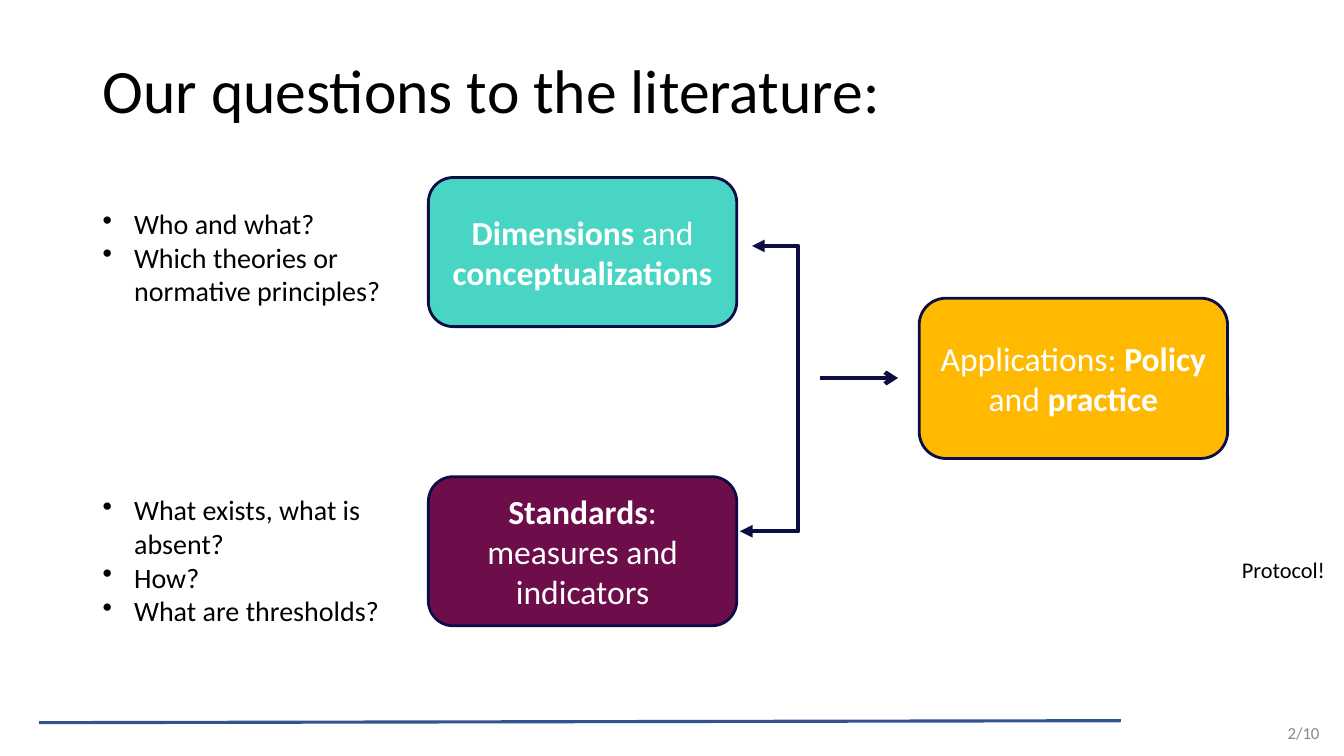
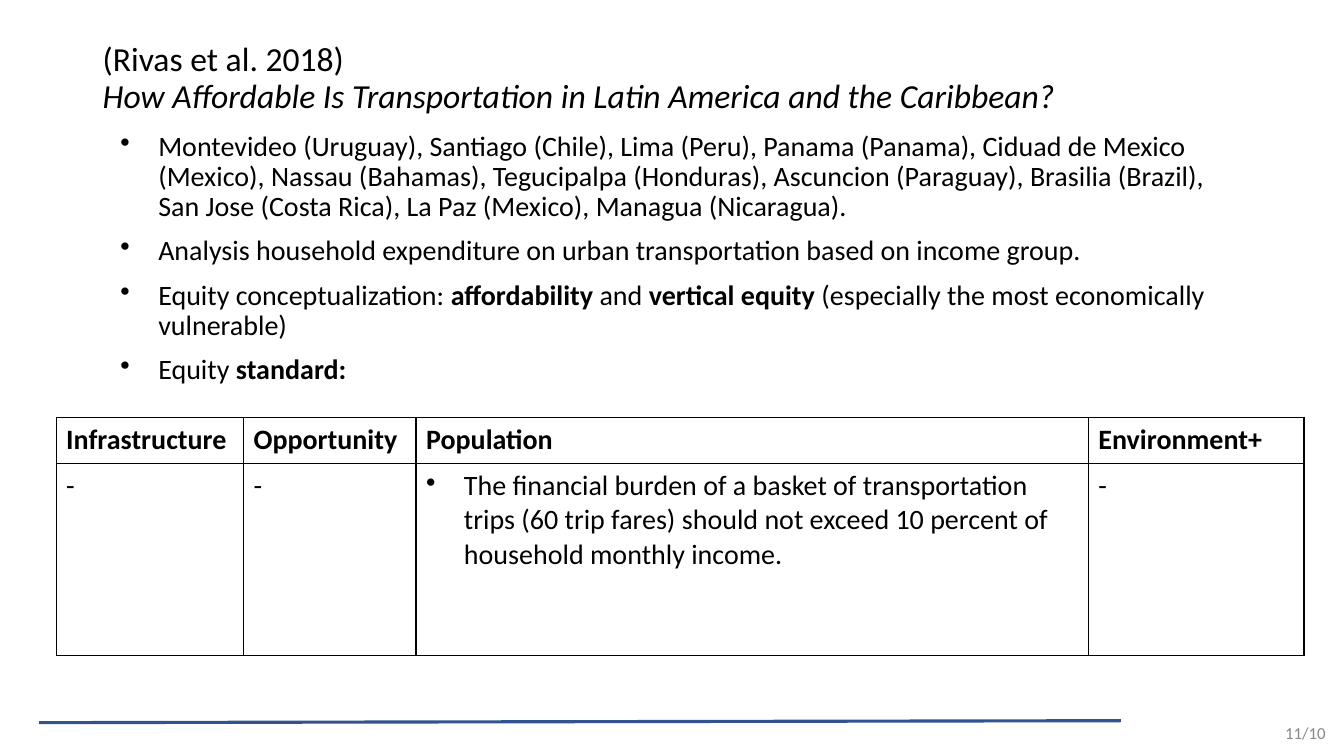
import dataclasses

import lxml.etree
import pptx
import pptx.dml.color
import pptx.enum.shapes
import pptx.enum.text
import pptx.oxml.ns
import pptx.util

Pt = pptx.util.Pt
qn = pptx.oxml.ns.qn
Rgb = pptx.dml.color.RGBColor.from_string
Align = pptx.enum.text.PP_ALIGN
Anchor = pptx.enum.text.MSO_ANCHOR
Link = pptx.enum.shapes.MSO_CONNECTOR
Form = pptx.enum.shapes.MSO_SHAPE


@dataclasses.dataclass(frozen=True)
class Theme:
    font: str = "Calibri"
    ink: str = "000000"
    white: str = "FFFFFF"
    grey: str = "888888"
    navy: str = "0D0D45"
    rule: str = "31538F"
    teal: str = "48D5C4"
    gold: str = "FFB900"
    plum: str = "6D0D4A"
    title: int = 44
    head: int = 24
    body: int = 20
    note: int = 16
    page: int = 12


THEME = Theme()
LEFT = 66.2


def child(node, tag, **attrs):
    return lxml.etree.SubElement(node, qn(tag), attrs)


def style(run, size, color=THEME.ink, bold=False, italic=False):
    font = run.font
    font.name, font.size = THEME.font, Pt(size)
    font.bold, font.italic = bold, italic
    font.color.rgb = Rgb(color)


def write(par, text, size, color=THEME.ink):
    """Write text into a paragraph; parts between ** marks are bold."""
    for i, part in enumerate(text.split("**")):
        if part:
            run = par.add_run()
            run.text = part
            style(run, size, color, bold=i % 2 == 1)


def bullet(par, left, hang):
    props = par._p.get_or_add_pPr()
    props.set("marL", str(Pt(left)))
    props.set("indent", str(-Pt(hang)))
    child(child(props, "a:buClr"), "a:srgbClr", val=THEME.ink)
    child(props, "a:buChar", char="•")


def add_text(slide, box, lines, size, color=THEME.ink):
    frame = slide.shapes.add_textbox(*map(Pt, box)).text_frame
    frame.word_wrap = True
    for i, line in enumerate(lines):
        par = frame.add_paragraph() if i else frame.paragraphs[0]
        write(par, line, size, color)
    return frame


def add_list(slide, box, items, left, hang):
    frame = add_text(slide, box, items, THEME.body)
    for par in frame.paragraphs:
        bullet(par, left, hang)
    return frame


def add_box(slide, box, color, text):
    shape = slide.shapes.add_shape(Form.ROUNDED_RECTANGLE, *map(Pt, box))
    shape.shadow.inherit = False
    shape.fill.solid()
    shape.fill.fore_color.rgb = Rgb(color)
    shape.line.color.rgb = Rgb(THEME.navy)
    shape.line.width = Pt(2)
    frame = shape.text_frame
    frame.word_wrap = True
    frame.vertical_anchor = Anchor.MIDDLE
    par = frame.paragraphs[0]
    par.alignment = Align.CENTER
    write(par, text, THEME.head, THEME.white)


def add_line(slide, ends, color, width, kind=Link.STRAIGHT, head=None, tail=None):
    line = slide.shapes.add_connector(kind, *map(Pt, ends))
    line.line.color.rgb = Rgb(color)
    line.line.width = Pt(width)
    props = line._element.spPr
    for tag, tip in (("a:headEnd", head), ("a:tailEnd", tail)):
        if tip:
            child(props.find(qn("a:ln")), tag, type=tip)
    child(props, "a:effectLst")
    return line


def add_fork(slide, ends, spine):
    """Draw a double-headed elbow whose upright stands at x = spine."""
    line = add_line(slide, ends, THEME.navy, 3, Link.ELBOW, "triangle", "triangle")
    share = (spine - ends[0]) / (ends[2] - ends[0])
    guides = line._element.spPr.find(".//" + qn("a:avLst"))
    child(guides, "a:gd", name="adj1", fmla=f"val {round(share * 100000)}")


def add_slide(deck, title, box, size, page, width):
    """Start a slide with its title, footer rule and page number."""
    slide = deck.slides.add_slide(deck.slide_layouts.get_by_name("Title Only"))
    add_line(slide, (28, 516.2, 800.6, 514.8), THEME.rule, 2.25)
    shape = slide.shapes.title
    shape.left, shape.top, shape.width, shape.height = map(Pt, box)
    frame = shape.text_frame
    frame.text = title
    frame.auto_size = pptx.enum.text.MSO_AUTO_SIZE.NONE
    frame.vertical_anchor = Anchor.MIDDLE
    for i, par in enumerate(frame.paragraphs):
        par.alignment, par.line_spacing = Align.LEFT, 0.9
        style(par.runs[0], size, italic=i > 0)
    foot = add_text(slide, (723.6, 509, width, 28.8), [page], THEME.page, THEME.grey)
    foot.vertical_anchor = Anchor.MIDDLE
    foot.paragraphs[0].alignment = Align.RIGHT
    return slide


def edge(cell):
    """Give a cell no fill and thin lines on all four sides."""
    props = cell._tc.get_or_add_tcPr()
    for side in "LRTB":
        line = child(props, "a:ln" + side, w=str(Pt(1)))
        child(child(line, "a:solidFill"), "a:srgbClr", val=THEME.ink)
    cell.fill.background()


def add_grid(slide, spot, cols, heights, rows):
    frame = slide.shapes.add_table(
        len(rows), len(cols), *map(Pt, (*spot, sum(cols), sum(heights))))
    table = frame.table
    table.first_row = table.horz_banding = False
    for col, width in zip(table.columns, cols):
        col.width = Pt(width)
    for row, height, texts in zip(table.rows, heights, rows):
        row.height = Pt(height)
        for cell, text in zip(row.cells, texts):
            edge(cell)
            write(cell.text_frame.paragraphs[0], text, THEME.body)
    return table


def add_quest(deck):
    slide = add_slide(deck, "Our questions to the literature:",
                      (LEFT, 28.8, 828, 75.6), THEME.title, "2/10", 226)
    for box, color, text in (
        ((306, 126.8, 220.3, 106.5), THEME.teal,
         "**Dimensions** and **conceptualizations**"),
        ((656.6, 213, 220.3, 114.5), THEME.gold,
         "Applications: **Policy** and **practice**"),
        ((306, 340.5, 220.3, 106.5), THEME.plum,
         "**Standards**: measures and indicators"),
    ):
        add_box(slide, box, color, text)
    add_fork(slide, (528.5, 379.5, 537.1, 175.7), 570.3)
    add_line(slide, (585.4, 270, 641.5, 270), THEME.navy, 3, tail="arrow")
    for box, items in (
        ((LEFT, 348.5, 246.2, 104.4),
         ["What exists, what is absent?", "How?", "What are thresholds?"]),
        ((LEFT, 144, 218.2, 80),
         ["Who and what?", "Which theories or normative principles?"]),
    ):
        add_list(slide, box, items, 22.5, 22.5)
    note = add_text(slide, (880, 395, 80, 26), ["Protocol!"], THEME.note)
    note.vertical_anchor = Anchor.MIDDLE
    note.paragraphs[0].line_spacing = 0.9


def add_study(deck):
    slide = add_slide(
        deck,
        "(Rivas et al. 2018)\n"
        "How Affordable Is Transportation in Latin America and the Caribbean?",
        (LEFT, 4.3, 828, 104.4), THEME.head, "11/10", 230.4)
    body = add_list(slide, (70, 90.7, 828, 200), [
        "Montevideo (Uruguay), Santiago (Chile), Lima (Peru), Panama (Panama), "
        "Ciduad de Mexico (Mexico), Nassau (Bahamas), Tegucipalpa (Honduras), "
        "Ascuncion (Paraguay), Brasilia (Brazil), San Jose (Costa Rica), "
        "La Paz (Mexico), Managua (Nicaragua).",
        "Analysis household expenditure on urban transportation based on "
        "income group.",
        "Equity conceptualization: **affordability** and **vertical equity** "
        "(especially the most economically vulnerable)",
        "Equity **standard:**",
    ], 36, 27)
    for par in body.paragraphs:
        par.line_spacing, par.space_before = 0.9, Pt(10)
    table = add_grid(
        slide, (40.1, 298.3), (133.9, 123.2, 480.2, 154.1), (33, 137), [
            ["**Infrastructure**", "**Opportunity**", "**Population**",
             "**Environment+**"],
            ["-", "-",
             "The financial burden of a basket of transportation trips "
             "(60 trip fares) should not exceed 10 percent of household "
             "monthly income.", "-"],
        ])
    bullet(table.cell(1, 2).text_frame.paragraphs[0], 27, 27)


def main():
    deck = pptx.Presentation()
    deck.slide_width, deck.slide_height = Pt(960), Pt(540)
    add_quest(deck)
    add_study(deck)
    deck.save("out.pptx")


if __name__ == "__main__":
    main()
